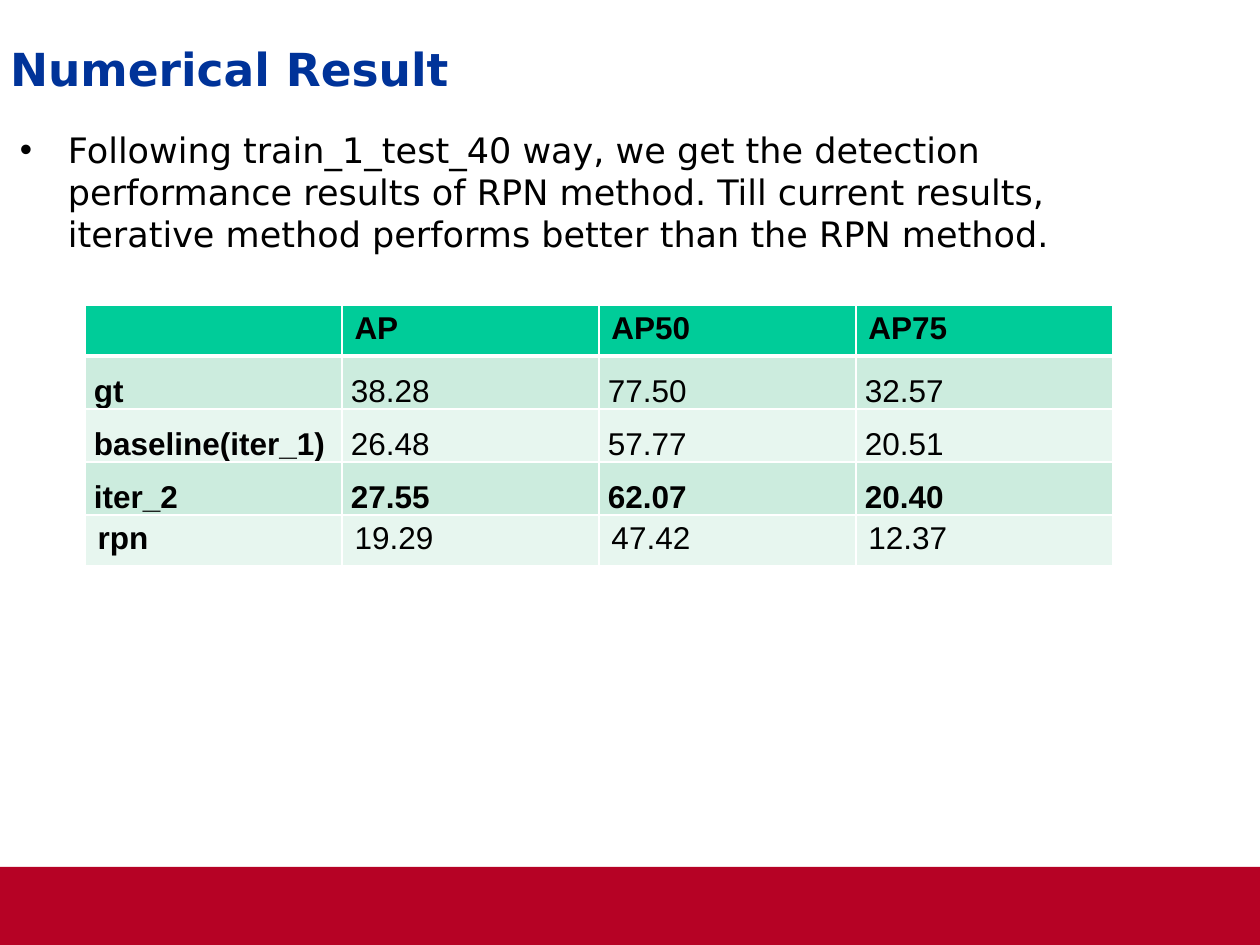
from lxml.etree import SubElement
from pptx import Presentation
from pptx.dml.color import RGBColor
from pptx.enum.shapes import MSO_SHAPE
from pptx.enum.text import MSO_ANCHOR, MSO_AUTO_SIZE, PP_ALIGN
from pptx.oxml.ns import qn
from pptx.util import Pt

PX = 914400 / 126

WHITE = RGBColor(0xFF, 0xFF, 0xFF)
BLACK = RGBColor(0x00, 0x00, 0x00)
BLUE = RGBColor(0x00, 0x33, 0x99)
RED = RGBColor(0xB6, 0x02, 0x25)
GREEN = RGBColor(0x00, 0xCC, 0x99)
BANDS = (RGBColor(0xCC, 0xEC, 0xDE), RGBColor(0xE7, 0xF6, 0xEF))

HEADER = ("", "AP", "AP50", "AP75")
RESULTS = (
    ("gt", "38.28", "77.50", "32.57"),
    ("baseline(iter_1)", "26.48", "57.77", "20.51"),
    ("iter_2", "27.55", "62.07", "20.40"),
    ("rpn", "19.29", "47.42", "12.37"),
)
BEST = "iter_2"
SUMMARY = (
    "Following train_1_test_40 way, we get the detection performance results "
    "of RPN method. Till current results, iterative method performs better "
    "than the RPN method."
)


def px(length):
    return round(length * PX)


class ResultSlide:
    text_font = "DejaVu Sans"
    table_font = "Arial"

    def __init__(self, prs):
        self.slide = prs.slides.add_slide(prs.slide_layouts[5])

    def apply(self, target, formats):
        for name, value in formats.items():
            setattr(target, name, value)

    def font(self, paragraph, size, color, bold=False, name=None):
        self.apply(paragraph.font, {
            "name": name or self.text_font, "size": Pt(size), "bold": bold})
        paragraph.font.color.rgb = color

    def frame(self, shape, anchor):
        self.apply(shape.text_frame, {
            "auto_size": MSO_AUTO_SIZE.NONE, "word_wrap": True,
            "vertical_anchor": anchor,
            "margin_left": 0, "margin_top": 0,
            "margin_right": px(13), "margin_bottom": px(6)})
        return shape.text_frame.paragraphs[0]

    def band(self, left, top, width, height, color):
        band = self.slide.shapes.add_shape(
            MSO_SHAPE.RECTANGLE, *map(px, (left, top, width, height)))
        band.shadow.inherit = False
        band.fill.solid()
        band.fill.fore_color.rgb = color
        band.line.fill.background()

    def title(self, text, left, top, width, height):
        title = self.slide.shapes.title
        self.apply(title, {"left": px(left), "top": px(top),
                           "width": px(width), "height": px(height)})
        title.text_frame.text = text
        heading = self.frame(title, MSO_ANCHOR.MIDDLE)
        self.apply(heading, {"alignment": PP_ALIGN.LEFT, "line_spacing": 0.95})
        self.font(heading, 26, BLUE, bold=True)

    def bullet(self, text, left, top, width, height, indent):
        box = self.slide.shapes.add_textbox(
            *map(px, (left, top, width, height)))
        item = self.frame(box, MSO_ANCHOR.TOP)
        item.text = text
        props = item._p.get_or_add_pPr()
        props.set("marL", str(px(indent)))
        props.set("indent", str(-px(indent)))
        SubElement(props, qn("a:buFont"), typeface="Arial")
        SubElement(props, qn("a:buChar"), char="•")
        item.space_after = Pt(3)
        self.font(item, 20, BLACK)

    def borders(self, cell, top, bottom):
        props = cell._tc.get_or_add_tcPr()
        for side, width in (("L", 1), ("R", 1), ("T", top), ("B", bottom)):
            line = SubElement(props, qn(f"a:ln{side}"), w=str(Pt(width)))
            fill = SubElement(line, qn("a:solidFill"))
            SubElement(fill, qn("a:srgbClr"), val=str(WHITE))

    def cell(self, cell, text, fill, bold, top, bottom, tall):
        self.borders(cell, top, bottom)
        cell.fill.solid()
        cell.fill.fore_color.rgb = fill
        cell.text = text
        entry = cell.text_frame.paragraphs[0]
        if tall:
            self.apply(cell, {"margin_left": px(9), "margin_right": px(9),
                              "margin_top": 0, "margin_bottom": 0})
            entry.line_spacing = 1.5
        self.font(entry, 18, BLACK, bold, self.table_font)

    def table(self, rows, left, top, column_width, row_height):
        table = self.slide.shapes.add_table(
            len(rows), len(rows[0]), px(left), px(top),
            px(column_width * len(rows[0])), px(row_height * len(rows))).table
        for column in table.columns:
            column.width = px(column_width)
        last = len(rows) - 1
        for r, values in enumerate(rows):
            table.rows[r].height = px(row_height)
            for c, value in enumerate(values):
                self.cell(
                    table.cell(r, c), value,
                    fill=BANDS[(r - 1) % 2] if r else GREEN,
                    bold=r == 0 or c == 0 or values[0] == BEST,
                    top=3 if r == 1 else 1,
                    bottom=3 if r == 0 else 1,
                    tall=0 < r < last)


def main():
    prs = Presentation()
    prs.slide_width, prs.slide_height = px(1260), px(945)
    page = ResultSlide(prs)

    # Footer band
    page.band(0, 867, 1260, 78, RED)
    # Heading and finding
    page.title("Numerical Result", 10, 24, 1231, 100)
    page.bullet(SUMMARY, 20, 129, 1187, 669, indent=48)
    # Detection scores
    page.table((HEADER, *RESULTS), 85, 305, column_width=257, row_height=51)

    prs.save("out.pptx")


if __name__ == "__main__":
    main()
